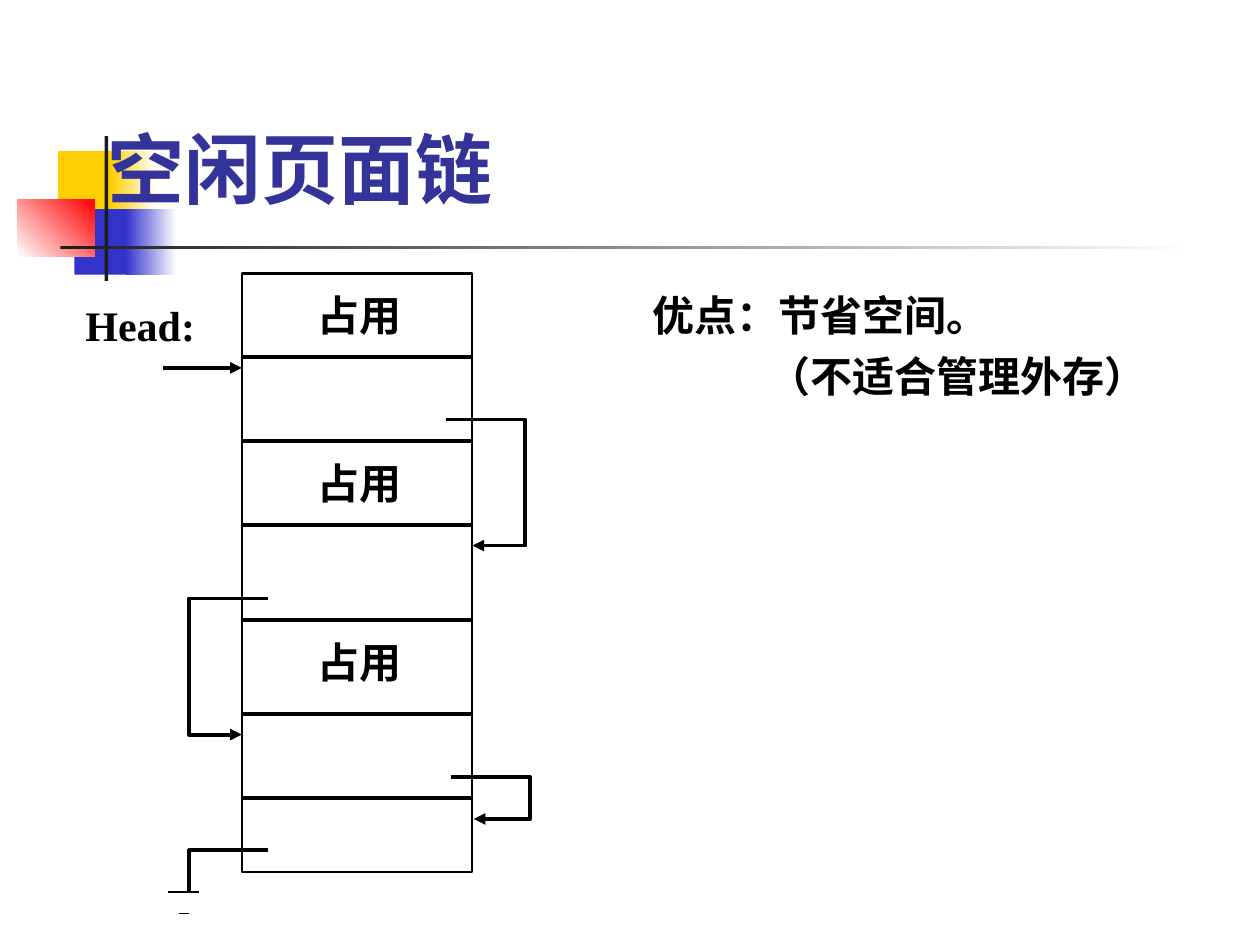
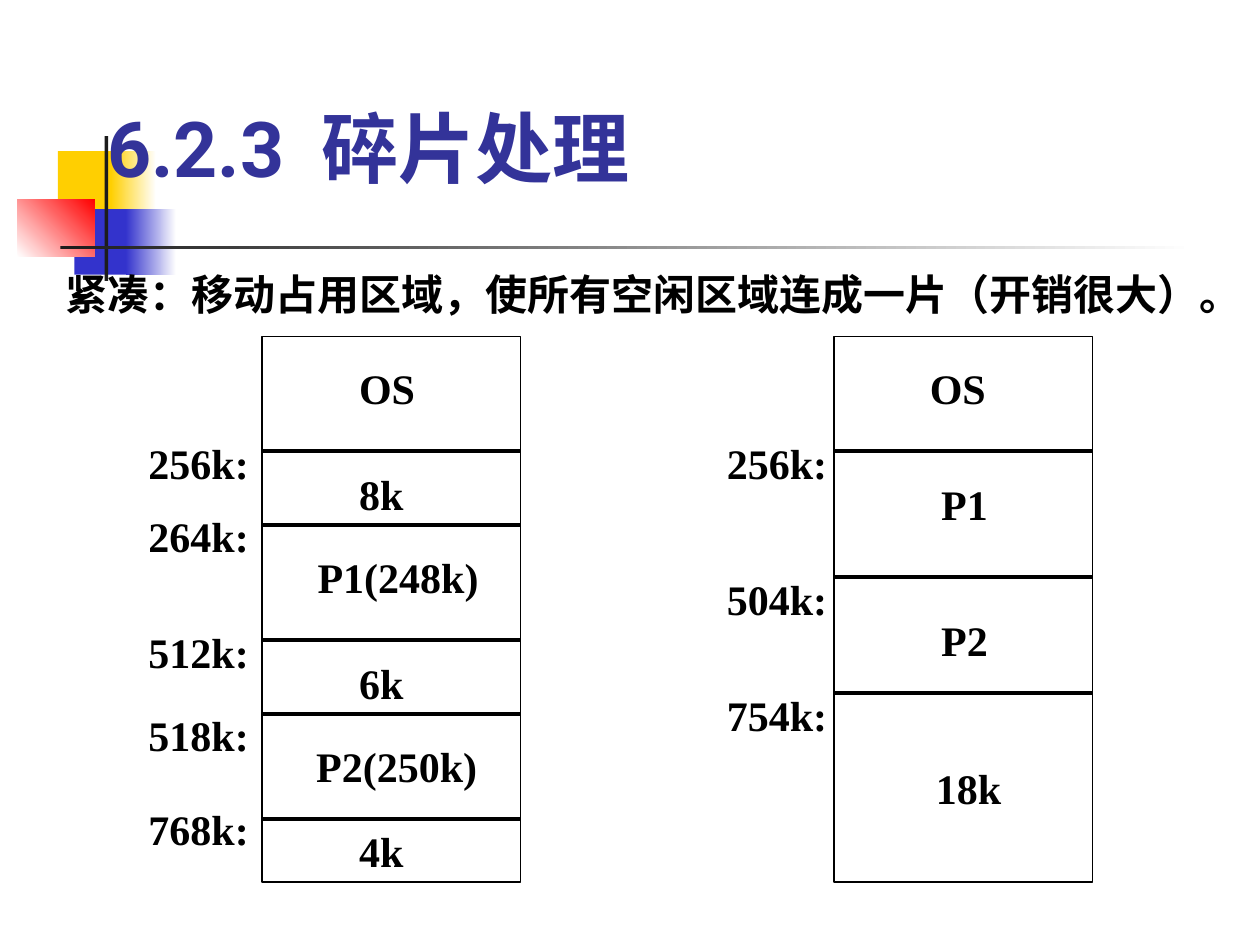
from lxml import etree
from pptx import Presentation
from pptx.dml.color import RGBColor
from pptx.enum import shapes
from pptx.oxml import ns
from pptx.util import Inches, Pt
from pptx.enum import text as text_enum

BLACK = RGBColor(0x00, 0x00, 0x00)
WHITE = RGBColor(0xFF, 0xFF, 0xFF)
YELLOW = RGBColor(0xFF, 0xCF, 0x01)
BLUE = RGBColor(0x33, 0x33, 0xCC)
RED = RGBColor(0xFF, 0x00, 0x00)
CHARCOAL = RGBColor(0x1C, 0x1C, 0x1C)
NAVY = RGBColor(0x33, 0x33, 0x99)


def add_text(page, lines, left, top, width, height=0.5, indent=0, fill=None):
    box = page.shapes.add_textbox(Inches(left), Inches(top), Inches(width), Inches(height))
    if fill is not None:
        box.fill.solid()
        box.fill.fore_color.rgb = fill
    frame = box.text_frame
    frame.word_wrap = True
    frame.margin_left = Inches(0.1 + indent)
    frame.text = "\n".join(lines)
    for para in frame.paragraphs:
        para.font.name = "Times New Roman"
        para.font.size = Pt(24)
        para.font.bold = True
        para.font.color.rgb = BLACK
    return frame


def add_stroke(page, points, weight=2.25, arrow=False):
    corners = [(Inches(x), Inches(y)) for x, y in points]
    if len(corners) == 2:
        stroke = page.shapes.add_connector(shapes.MSO_CONNECTOR.STRAIGHT, *corners[0], *corners[1])
    else:
        builder = page.shapes.build_freeform(*corners[0])
        builder.add_line_segments(corners[1:], close=False)
        stroke = builder.convert_to_shape()
        stroke.fill.background()
    stroke.line.color.rgb = BLACK
    stroke.line.width = Pt(weight)
    if arrow:
        outline = stroke.line._get_or_add_ln()
        etree.SubElement(outline, ns.qn("a:tailEnd"), type="triangle")
    etree.SubElement(stroke._element.spPr, ns.qn("a:effectLst"))


deck = Presentation()
deck.slide_width = Inches(10)
deck.slide_height = Inches(7.5)
layout = deck.slide_layouts[5]
chain_page = deck.slides.add_slide(layout)
compact_page = deck.slides.add_slide(layout)

for left, top, width, height, start, end, angle in [
    (0.46, 1.2, 0.48, 0.52, YELLOW, None, 0),
    (0.88, 1.2, 0.36, 0.52, YELLOW, WHITE, 0),
    (0.59, 1.66, 0.46, 0.52, BLUE, None, 0),
    (1, 1.66, 0.4, 0.52, BLUE, WHITE, 0),
    (0.14, 1.58, 0.61, 0.46, WHITE, RED, 45),
    (0.83, 1.08, 0.03, 1.15, CHARCOAL, None, 0),
    (0.48, 1.95, 9, 0.03, CHARCOAL, WHITE, 0),
]:
    band = chain_page.shapes.add_shape(
        shapes.MSO_SHAPE.RECTANGLE, Inches(left), Inches(top), Inches(width), Inches(height)
    )
    band.shadow.inherit = False
    band.line.fill.background()
    if end is None:
        band.fill.solid()
        band.fill.fore_color.rgb = start
    else:
        band.fill.gradient()
        band.fill.gradient_angle = angle
        for stop, color in zip(band.fill.gradient_stops, (start, end)):
            stop.color.rgb = color
    layout.shapes._spTree.append(band._element)

for page, top, spans in [
    (chain_page, 0.5, ["空闲页面链"]),
    (compact_page, 0.33, ["6.2.3", " ", "碎片处理"]),
]:
    title = page.shapes.title
    title.left, title.top = Inches(0.75), Inches(top)
    title.width, title.height = Inches(8.5), Inches(1.25)
    title.text_frame.vertical_anchor = text_enum.MSO_ANCHOR.BOTTOM
    para = title.text_frame.paragraphs[0]
    para.alignment = text_enum.PP_ALIGN.LEFT
    para.font.name = "Roboto"
    para.font.size = Pt(44)
    para.font.bold = True
    para.font.color.rgb = NAVY
    for words in spans:
        span = para.add_run()
        span.text = words
        if words == " ":
            span.font._element.set("spc", "1000")

for page, left, top, width, height, weight, dividers in [
    (chain_page, 1.92, 2.17, 1.83, 4.75, 1.25, [2.83, 3.5, 4.17, 4.92, 5.67, 6.33]),
    (compact_page, 2.08, 2.67, 2.05, 4.33, 0.75, [3.58, 4.17, 5.08, 5.67, 6.5]),
    (compact_page, 6.62, 2.67, 2.05, 4.33, 0.75, [3.58, 4.58, 5.5]),
]:
    memory = page.shapes.add_shape(
        shapes.MSO_SHAPE.RECTANGLE, Inches(left), Inches(top), Inches(width), Inches(height)
    )
    memory.shadow.inherit = False
    memory.fill.solid()
    memory.fill.fore_color.rgb = WHITE
    memory.line.color.rgb = BLACK
    memory.line.width = Pt(weight)
    for y in dividers:
        add_stroke(page, [(left, y), (left + width, y)])

for top in (2.25, 3.58, 5):
    add_text(chain_page, ["占用"], 2.42, top, 0.92, fill=WHITE)
add_text(chain_page, ["Head:"], 0.58, 2.33, 1.08)

for points in [
    [(1.29, 2.92), (1.92, 2.92)],
    [(3.54, 3.33), (4.17, 3.33), (4.17, 4.33), (3.75, 4.33)],
    [(2.13, 4.75), (1.5, 4.75), (1.5, 5.83), (1.92, 5.83)],
    [(3.58, 6.17), (4.21, 6.17), (4.21, 6.5), (3.76, 6.5)],
]:
    add_stroke(chain_page, points, arrow=True)
add_stroke(chain_page, [(2.13, 6.75), (1.5, 6.75), (1.5, 7.08)])
add_stroke(chain_page, [(1.33, 7.08), (1.58, 7.08)], weight=0.75)
add_stroke(chain_page, [(1.42, 7.25), (1.5, 7.25)], weight=0.75)

merits = add_text(chain_page, ["优点：节省空间。", "（不适合管理外存）"], 5.08, 2.25, 4.33, 1.1)
remark = merits.paragraphs[1]
remark.space_before = Pt(6)
remark._p.get_or_add_pPr().set("marL", str(Inches(0.92)))

add_text(compact_page, ["紧凑：移动占用区域，使所有空闲区域连成一片（开销很大）。"], 0.42, 2.08, 9.55)

for label, left, top, width, indent in [
    ("OS", 2.42, 2.83, 1.33, 0.33),
    ("8k", 2.58, 3.67, 1.08, 0.17),
    ("P1(248k)", 2.17, 4.33, 1.75, 0.25),
    ("6k", 2.58, 5.17, 1.08, 0.17),
    ("P2(250k)", 2.33, 5.83, 1.67, 0.08),
    ("4k", 2.58, 6.5, 1.08, 0.17),
    ("OS", 6.95, 2.83, 1.33, 0.33),
    ("P1", 6.95, 3.75, 1.42, 0.42),
    ("P2", 6.95, 4.83, 1.42, 0.42),
    ("18k", 7.33, 6, 0.83, 0),
]:
    add_text(compact_page, [label], left, top, width, indent=indent)

for left, addresses in [
    (1.08, [("256k:", 3.42), ("264k:", 4), ("512k:", 4.92), ("518k:", 5.58), ("768k:", 6.33)]),
    (5.67, [("256k:", 3.42), ("504k:", 4.5), ("754k:", 5.42)]),
]:
    for address, top in addresses:
        add_text(compact_page, [address], left, top, 1.08)

deck.save("out.pptx")
